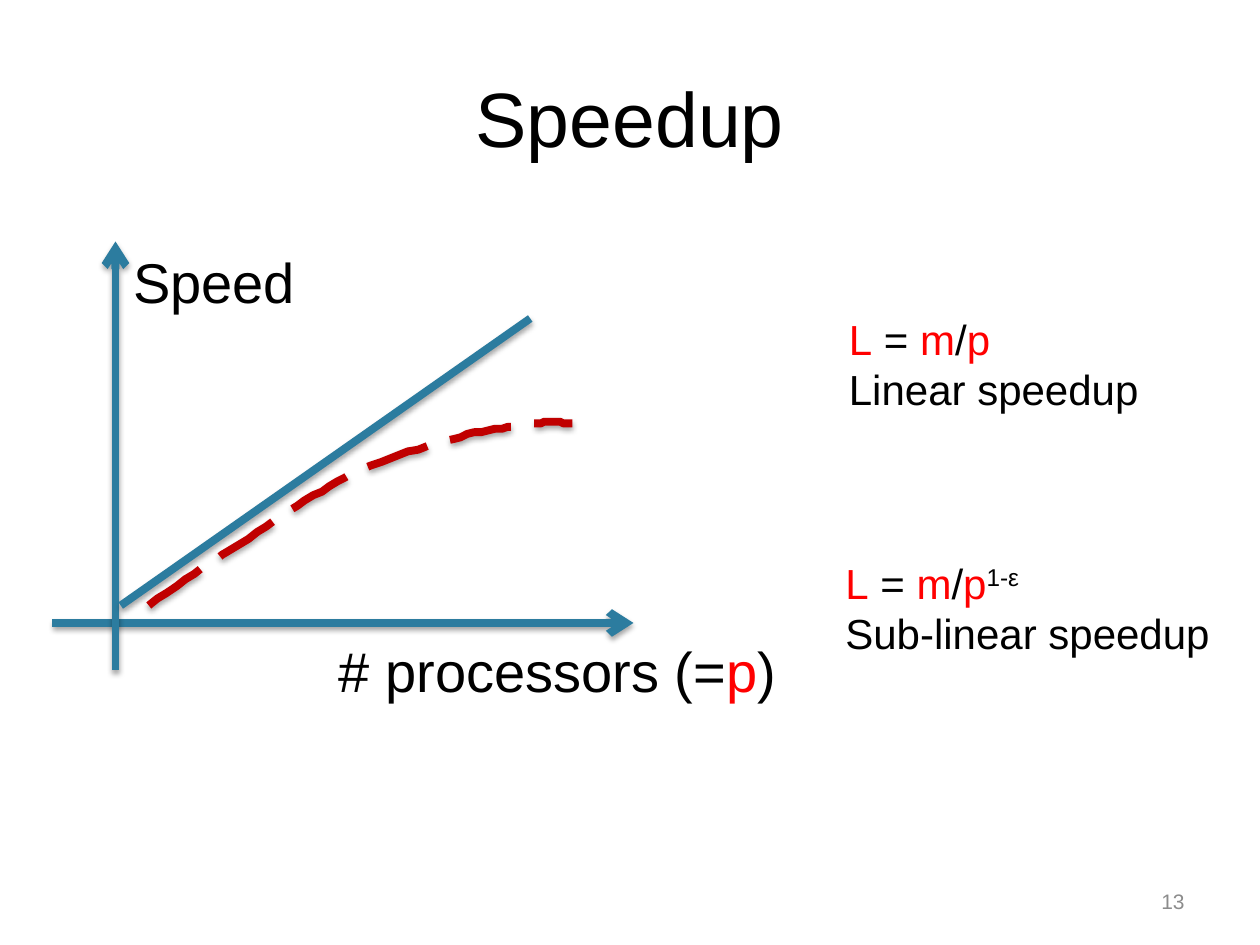
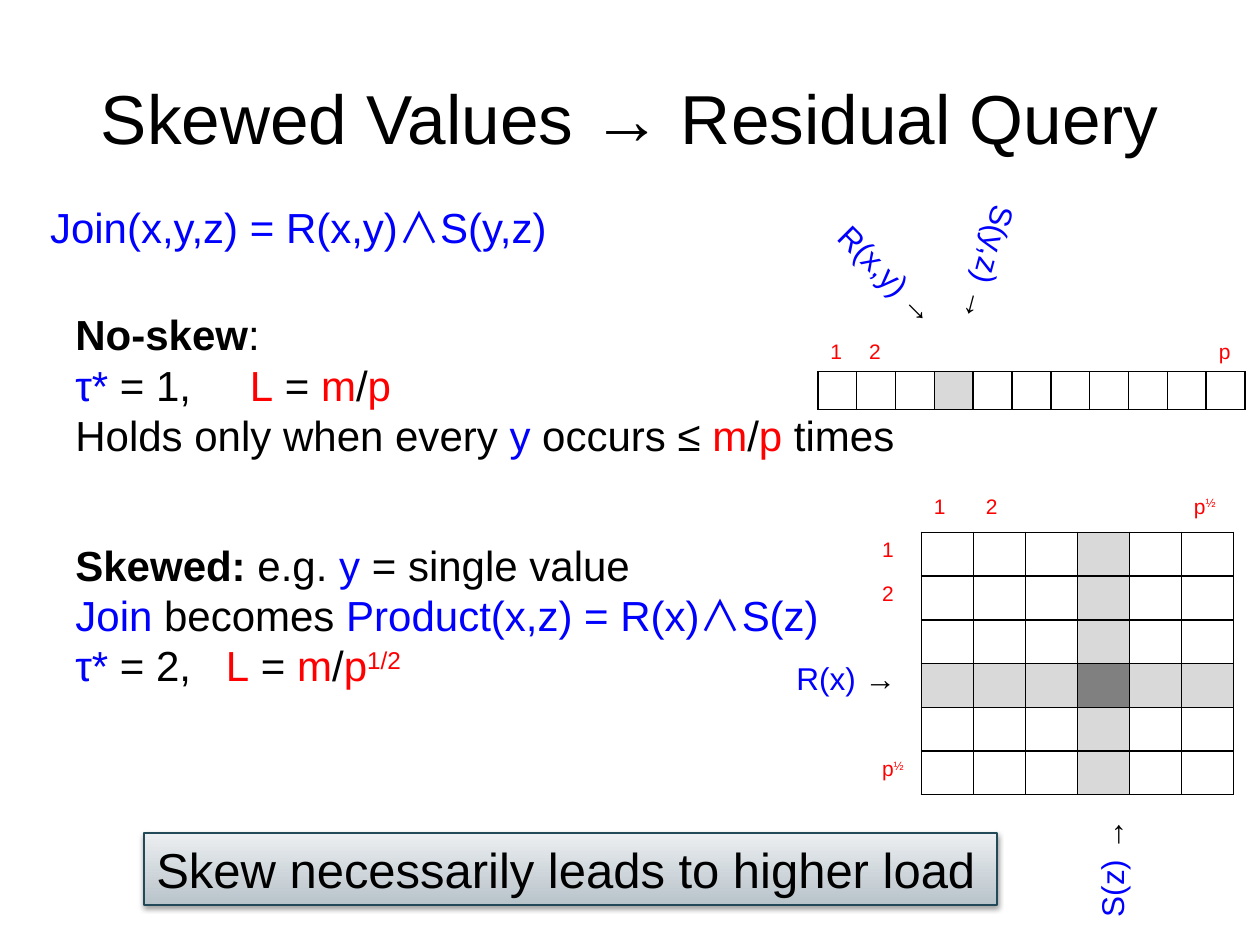
import lxml.etree
import pptx
import pptx.dml.color
import pptx.enum.dml
import pptx.enum.shapes
import pptx.enum.text
import pptx.oxml.ns
import pptx.util

Pt = pptx.util.Pt
RGB = pptx.dml.color.RGBColor
qn = pptx.oxml.ns.qn
ALIGN = pptx.enum.text.PP_ALIGN
MIDDLE = pptx.enum.text.MSO_ANCHOR.MIDDLE

BLACK = RGB(0, 0, 0)
WHITE = RGB(255, 255, 255)
RED = RGB(255, 0, 0)
BLUE = RGB(0, 0, 255)
TEAL = RGB(0x2C, 0x7C, 0x9F)
CRIMSON = RGB(0xC0, 0, 0)
GREY = RGB(0xD9, 0xD9, 0xD9)
DARK = RGB(0x80, 0x80, 0x80)
PALE = RGB(0x8C, 0x8C, 0x8C)
EDGE = RGB(0x22, 0x49, 0x57)
STEEL = RGB(0xB8, 0xC3, 0xCA)
MIST = RGB(0xEC, 0xEF, 0xF1)
FONT = "Arial"
MATH = "Noto Sans CJK JP"
PLAIN = "{2D5ABB26-0587-4C30-8999-92F81FD0307C}"  # table style without grid

# Content: a line is a list of (text, colour, mark); marks are "bold", "sup", "math"
LOAD = [("L", RED), (" = ", BLACK), ("m", RED), ("/", BLACK), ("p", RED)]
ARROW = ("→", BLACK)
AND = ("∧", BLUE, "math")
ROOT = [("p", RED), ("½", RED, "sup")]

# Each text: place (left, top, width, height), size, lines, turn, tab stop
PLOT_TEXTS = [
    ((186.5, 360, 267, 46), 32,
     [[("# processors (=", BLACK), ("p", RED), (")", BLACK)]], 0, None),
    ((69, 138, 108, 46), 32, [[("Speed", BLACK)]], 0, None),
    ((478, 175.5, 181.5, 65.5), 24, [LOAD, [("Linear speedup", BLACK)]], 0, None),
    ((476, 315, 225, 65.5), 24,
     [LOAD + [("1-ε", BLACK, "sup")], [("Sub-linear speedup", BLACK)]], 0, None),
]
AXES = [((30, 356), (362, 356)), ((66, 383), (66, 138))]
LINEAR = ((69, 346), (303, 182))
START = (85, 346)
BENDS = [
    ((106, 331), (127, 317), (147, 304.5)),
    ((166, 292), (183, 279.5), (202, 270.5)),
    ((222, 261.5), (245.5, 254), (263, 249.5)),
    ((280, 245), (295, 243.5), (306, 242)),
    ((316, 240.5), (327, 242), (327, 242)),
]

SKEW_TEXTS = [
    ((21.5, 111.5, 301, 36), 24,
     [[("Join(x,y,z) = R(x,y)", BLUE), AND, ("S(y,z)", BLUE)]], 0, None),
    ((36, 173, 487.5, 94.5), 24,
     [[("No-skew", BLACK, "bold"), (":", BLACK)],
      [("τ* ", BLUE), ("= 1,\t", BLACK)] + LOAD,
      [("Holds only when every ", BLACK), ("y", BLUE), (" occurs ≤ ", BLACK),
       ("m", RED), ("/", BLACK), ("p", RED), (" times", BLACK)]], 0, 99.7),
    ((36, 304.5, 441.5, 94.5), 24,
     [[("Skewed:", BLACK, "bold"), (" e.g. ", BLACK), ("y ", BLUE),
       ("= single value", BLACK)],
      [("Join", BLUE), (" becomes ", BLACK), ("Product(x,z) = R(x)", BLUE),
       AND, ("S(z)", BLUE)],
      [("τ* ", BLUE), ("= 2,\t", BLACK)] + LOAD + [("1/2", RED, "sup")]],
     0, 86),
    ((448, 373, 72, 29), 18, [[("R(x) ", BLUE), ARROW]], 0, None),
    ((600, 481.5, 70.5, 29), 18, [[("S(z) ", BLUE), ARROW]], 270, None),
    ((465, 142.5, 85.5, 29), 18, [[("R(x,y) ", BLUE), ARROW]], 45, None),
    ((523.5, 137, 83.5, 29), 18, [[("S(y,z) ", BLUE), ARROW]], 105, None),
]
ONE, TWO, LAST = [("1", RED)], [("2", RED)], [("p", RED)]
# Each grid: place, columns, rows, label columns, shaded row and column, labels
GRIDS = [
    ((467.3, 190.8, 244.2, 43.2), 11, 2, 0, None, 3,
     {(0, 0): ONE, (0, 1): TWO, (0, 10): LAST}),
    ((496.8, 279.3, 208, 175), 7, 7, 1, 4, 4,
     {(0, 1): ONE, (0, 2): TWO, (0, 6): ROOT,
      (1, 0): ONE, (2, 0): TWO, (6, 0): ROOT}),
]


def pts(nums):
    return [Pt(n) for n in nums]


def add_sub(node, tag, **attrs):
    return lxml.etree.SubElement(node, qn(tag), attrs)


def write(para, line, size, tab=None, align=None):
    if tab:
        stops = add_sub(para._p.get_or_add_pPr(), "a:tabLst")
        add_sub(stops, "a:tab", pos=str(Pt(tab)), algn="l")
    para.alignment = align
    para.font.size = Pt(size)
    para.font.name = FONT
    for text, colour, *marks in line:
        run = para.add_run()
        run.text = text
        run.font.color.rgb = colour
        if "bold" in marks:
            run.font.bold = True
        if "sup" in marks:
            run.font._rPr.set("baseline", "30000")
        if "math" in marks:
            run.font.name = MATH
            add_sub(run.font._rPr, "a:ea", typeface=MATH)


def add_text(slide, place, size, lines, turn=0, tab=None, align=ALIGN.LEFT):
    box = slide.shapes.add_textbox(*pts(place))
    box.rotation = turn
    frame = box.text_frame
    frame.word_wrap = False
    for i, line in enumerate(lines):
        para = frame.add_paragraph() if i else frame.paragraphs[0]
        has_tab = any("\t" in part[0] for part in line)
        write(para, line, size, tab if has_tab else None, align)
    return box


def add_shade(shape, alpha=35, dist=1.8):
    props = shape.element.find(qn("p:spPr"))
    glow = add_sub(add_sub(props, "a:effectLst"), "a:outerShdw",
                   blurRad=str(Pt(3.1)), dist=str(Pt(dist)), dir="5400000",
                   algn="ctr", rotWithShape="0")
    add_sub(add_sub(glow, "a:srgbClr", val="000000"), "a:alpha",
            val=str(alpha * 1000))


def add_line(slide, start, end, head=False):
    line = slide.shapes.add_connector(
        pptx.enum.shapes.MSO_CONNECTOR.STRAIGHT, *pts(start + end))
    line.line.color.rgb = TEAL
    line.line.width = Pt(4.5)
    if head:
        add_sub(line.line._get_or_add_ln(), "a:tailEnd", type="arrow")
    add_shade(line)


def trace(start, bends, steps=12):
    """Points along a chain of cubic curves."""
    dots = []
    for one, two, end in bends:
        for i in range(1, steps + 1):
            t = i / steps
            u = 1 - t
            dots.append(tuple(
                u**3 * a + 3 * u * u * t * b + 3 * u * t * t * c + t**3 * d
                for a, b, c, d in zip(start, one, two, end)))
        start = end
    return dots


def add_curve(slide):
    build = slide.shapes.build_freeform(*START, scale=Pt(1))
    build.add_line_segments(trace(START, BENDS), close=False)
    curve = build.convert_to_shape()
    curve.fill.background()
    curve.line.color.rgb = CRIMSON
    curve.line.width = Pt(4.5)
    curve.line.dash_style = pptx.enum.dml.MSO_LINE.LONG_DASH
    add_shade(curve)


def frame_cell(cell):
    props = cell._tc.get_or_add_tcPr()
    for i, side in enumerate(("a:lnL", "a:lnR", "a:lnT", "a:lnB")):
        edge = lxml.etree.Element(qn(side), w=str(Pt(1)))
        add_sub(add_sub(edge, "a:solidFill"), "a:srgbClr", val=str(BLACK))
        props.insert(i, edge)


def add_grid(slide, place, cols, rows, side, hot_row, hot_col, marks):
    frame = slide.shapes.add_table(rows, cols, *pts(place))
    grid = frame.table
    grid.first_row = grid.horz_banding = False
    for style in frame.element.iter(qn("a:tableStyleId")):
        style.text = PLAIN
    for col in grid.columns:
        col.width = Pt(place[2] / cols)
    for row in grid.rows:
        row.height = Pt(place[3] / rows)
    for r in range(rows):
        for c in range(cols):
            cell = grid.cell(r, c)
            body = r >= 1 and c >= side
            level = (r == hot_row) + (c == hot_col) if body else 0
            cell.fill.solid()
            cell.fill.fore_color.rgb = (WHITE, GREY, DARK)[level]
            if body:
                frame_cell(cell)
            if (r, c) not in marks:
                cell.margin_top = cell.margin_bottom = 0
            write(cell.text_frame.paragraphs[0], marks.get((r, c), []), 12)


def add_slide(deck, title, size):
    slide = deck.slides.add_slide(deck.slide_layouts[5])
    head = slide.shapes.title
    head.left, head.top, head.width, head.height = pts((36, 21.6, 648, 90))
    head.text_frame.auto_size = pptx.enum.text.MSO_AUTO_SIZE.NONE
    head.text_frame.vertical_anchor = MIDDLE
    write(head.text_frame.paragraphs[0], [(title, BLACK)], size,
          align=ALIGN.CENTER)
    return slide


def add_banner(slide):
    bar = slide.shapes.add_shape(pptx.enum.shapes.MSO_SHAPE.RECTANGLE,
                                 *pts((82.3, 476, 487.5, 41.2)))
    bar.fill.gradient()
    bar.fill.gradient_angle = 90
    for stop, colour in zip(bar.fill.gradient_stops, (STEEL, MIST)):
        stop.color.rgb = colour
    bar.line.color.rgb = EDGE
    bar.line.width = Pt(0.75)
    add_shade(bar, 38, 1.6)
    bar.text_frame.word_wrap = False
    write(bar.text_frame.paragraphs[0],
          [("Skew necessarily leads to higher load", BLACK)], 28,
          align=ALIGN.LEFT)


def main():
    deck = pptx.Presentation()
    deck.slide_width, deck.slide_height = pts((720, 540))

    # Speedup plot
    slide = add_slide(deck, "Speedup", 44)
    page = add_text(slide, (516, 500.5, 168, 28.75), 12, [[("13", PALE)]],
                    align=ALIGN.RIGHT)
    page.text_frame.word_wrap = True
    page.text_frame.vertical_anchor = MIDDLE
    for start, end in AXES:
        add_line(slide, start, end, head=True)
    add_line(slide, *LINEAR)
    add_curve(slide)
    for item in PLOT_TEXTS:
        add_text(slide, *item)

    # Skewed values
    slide = add_slide(deck, "Skewed Values → Residual Query", 39.6)
    add_banner(slide)
    for grid in GRIDS:
        add_grid(slide, *grid)
    for item in SKEW_TEXTS:
        add_text(slide, *item)

    deck.save("out.pptx")


if __name__ == "__main__":
    main()
